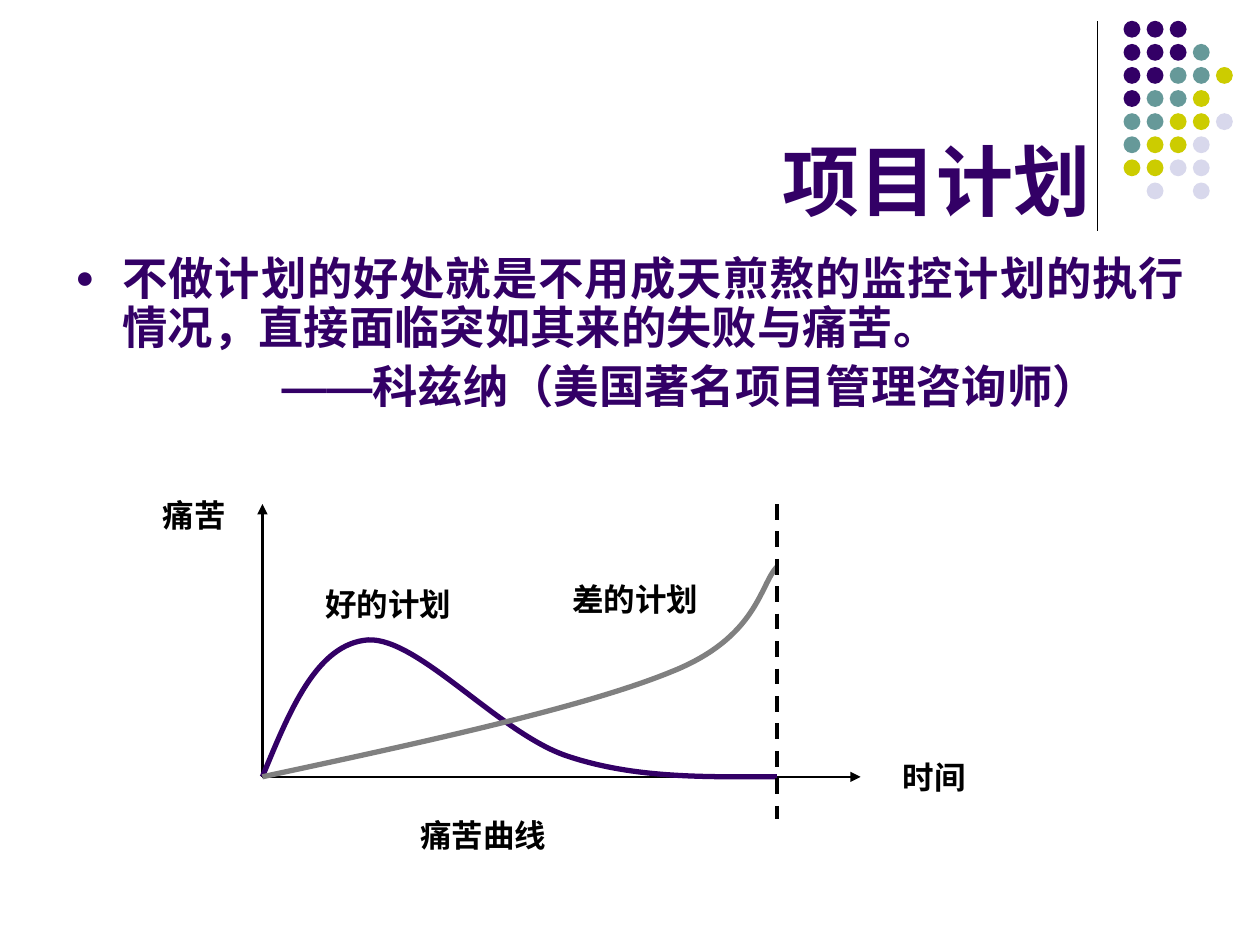
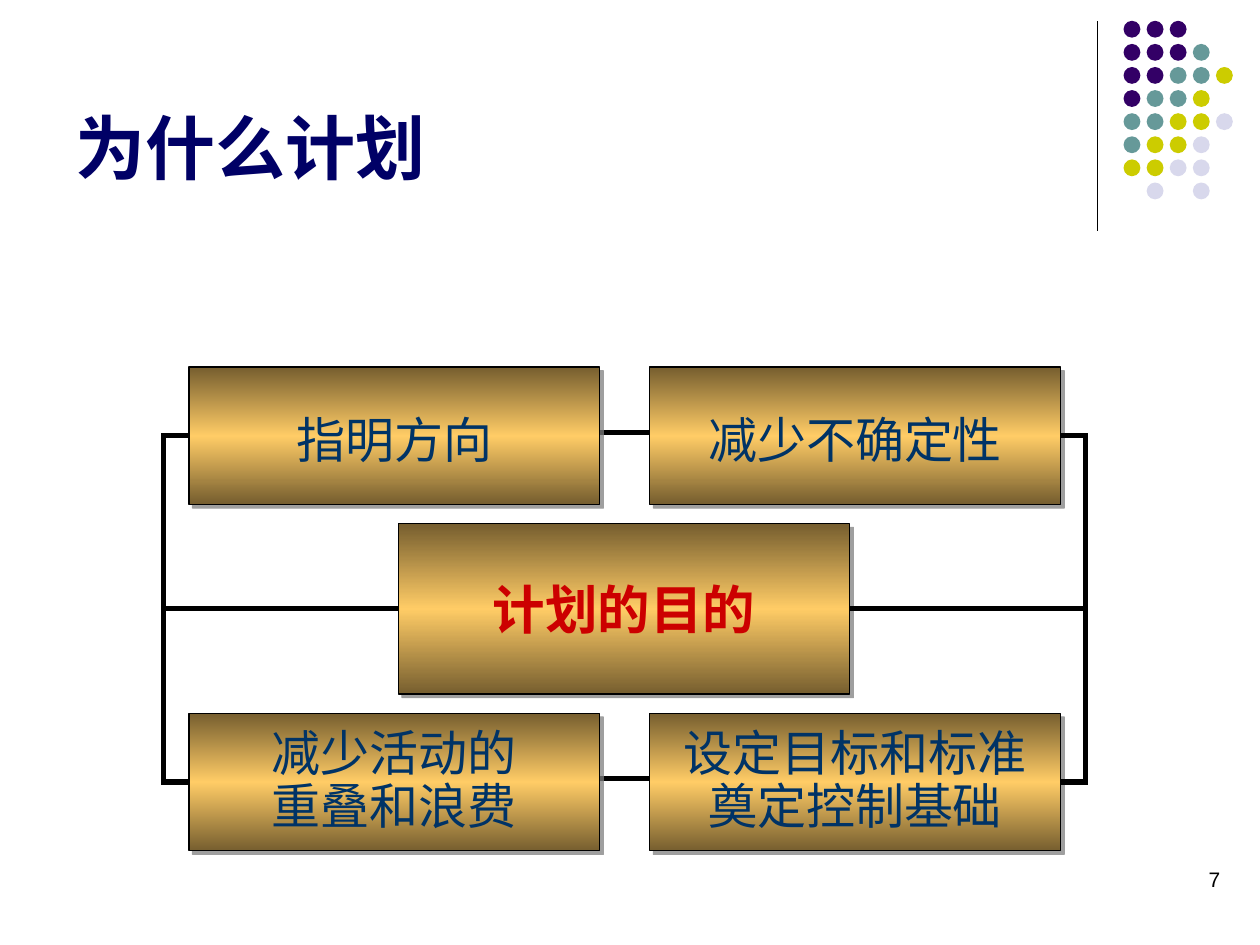
from copy import deepcopy
from lxml.etree import SubElement
from pptx import Presentation
from pptx.dml.color import RGBColor
from pptx.enum.dml import MSO_LINE
from pptx.enum.shapes import MSO_CONNECTOR, MSO_SHAPE
from pptx.enum.text import MSO_ANCHOR, PP_ALIGN
from pptx.oxml.ns import qn
from pptx.util import Cm, Pt

# Colours and fonts
PLUM = RGBColor(0x33, 0x00, 0x66)
TEAL = RGBColor(0x66, 0x99, 0x99)
LIME = RGBColor(0xCC, 0xCC, 0x00)
PALE = RGBColor(0xD8, 0xD8, 0xEC)
NAVY = RGBColor(0x00, 0x00, 0x66)
BLUE = RGBColor(0x00, 0x33, 0x66)
RED = RGBColor(0xCC, 0x00, 0x00)
GREY = RGBColor(0x80, 0x80, 0x80)
GOLD = RGBColor(0xFF, 0xCC, 0x66)
BROWN = RGBColor(0x76, 0x5E, 0x2F)
BLACK = RGBColor(0x00, 0x00, 0x00)
WHITE = RGBColor(0xFF, 0xFF, 0xFF)
SANS, HAN, HANS = "Arial", "Noto Sans CJK JP", "Noto Sans CJK SC"
SERIF = "Times New Roman"

# Shared dot pattern, one letter per dot
DOTS = ["PPP", "PPPT", "PPTTL", "PTTL", "TTLLW", "TLLW", "LLWW", " W W"]
HUES = {"P": PLUM, "T": TEAL, "L": LIME, "W": PALE}
DOT, STEP = 0.34, 3.26 / 7

# Content of slide 1, lengths in cm
QUOTE = "不做计划的好处就是不用成天煎熬的监控计划的执行情况，直接面临突如其来的失败与痛苦。"
DASH, SOURCE = "——", "科兹纳（美国著名项目管理咨询师）"
ZERO, DUE, HIGH = (5.29, 15.66), 15.66, 10.16
CURVES = [
    (PLUM, [(5.84, 14.33), (6.38, 12.98), (7.42, 12.9),
            (8.43, 12.85), (10.06, 14.78), (11.43, 15.24),
            (12.8, 15.7), (14.22, 15.66), (DUE, 15.66)]),
    (GREY, [(8.56, 14.96), (11.81, 14.25), (13.54, 13.54),
            (15.27, 12.85), (15.32, 11.79), (DUE, 11.43)]),
]
LABELS = [
    ("痛苦", (2.75, 9.95, 2.33, 0.85)),
    ("时间", (17.56, 15.24, 2.54, 0.85)),
    ("痛苦曲线", (7.63, 16.3, 4.23, 1.06)),
    ("好的计划", (5.92, 11.64, 3.81, 1.06)),
    ("差的计划", (10.8, 11.64, 4.02, 0.85)),
]

# Content of slide 2
GOALS = [
    [["指明方向"], ["减少不确定性"]],
    [["减少活动的", "重叠和浪费"], ["设定目标和标准", "奠定控制基础"]],
]
COLS, ROWS, SIZE = (3.81, 13.1), (7.4, 14.38), (8.28, 2.77)
CORE = (8.03, 10.56, 9.1, 3.43)


def put(obj, vals):
    for key, val in vals.items():
        setattr(obj, key, val)


def cms(nums):
    return [Cm(num) for num in nums]


def write(para, text, size, color, bold=False, face=SANS, asian=HANS):
    run = para.add_run()
    run.text = text
    put(run.font, {"name": face, "size": Pt(size), "bold": bold})
    run.font.color.rgb = color
    SubElement(run._r.get_or_add_rPr(), qn("a:ea"), typeface=asian)


def text_box(slide, area, anchor=MSO_ANCHOR.TOP):
    frame = slide.shapes.add_textbox(*cms(area)).text_frame
    put(frame, {"word_wrap": True, "vertical_anchor": anchor})
    return frame


def title(slide, text, top, size, color, face, align):
    frame = text_box(slide, (1.27, top, 20.96, 3.6), MSO_ANCHOR.BOTTOM)
    para = frame.paragraphs[0]
    para.alignment = align
    write(para, text, size, color, True, face, face)


def line(slide, start, end, width, kind=MSO_CONNECTOR.STRAIGHT,
         arrow=False, dash=None):
    link = slide.shapes.add_connector(kind, *cms(start + end))
    put(link.line, {"width": Pt(width), "dash_style": dash})
    link.line.color.rgb = BLACK
    stroke = link.line._get_or_add_ln()
    SubElement(stroke, qn("a:miter"), lim="800000")
    if arrow:
        SubElement(stroke, qn("a:tailEnd"), type="triangle")
    SubElement(link._element.spPr, qn("a:effectLst"))
    return link


def box(slide, area, edge):
    shape = slide.shapes.add_shape(MSO_SHAPE.RECTANGLE, *cms(area))
    shape.shadow.inherit = False
    shape.line.color.rgb = edge
    shape.line.width = Pt(0.75)
    put(shape.text_frame, {"word_wrap": False,
                           "vertical_anchor": MSO_ANCHOR.MIDDLE})
    shape.text_frame.paragraphs[0].alignment = PP_ALIGN.CENTER
    return shape


def new_slide(deck):
    slide = deck.slides.add_slide(deck.slide_layouts[6])
    line(slide, (22.12, 0.43), (22.12, 4.65), 0.75)
    for row, marks in enumerate(DOTS):
        for col, mark in enumerate(marks):
            if mark not in HUES:
                continue
            spot = (22.65 + col * STEP, 0.42 + row * STEP, DOT, DOT)
            dot = slide.shapes.add_shape(MSO_SHAPE.OVAL, *cms(spot))
            dot.shadow.inherit = False
            dot.fill.solid()
            dot.fill.fore_color.rgb = HUES[mark]
            dot.line.fill.background()
    return slide


def bullet(para):
    props = para._p.get_or_add_pPr()
    tint = SubElement(props, qn("a:buClr"))
    SubElement(tint, qn("a:srgbClr"), val=str(PLUM))
    SubElement(props, qn("a:buSzPct"), val="70000")
    SubElement(props, qn("a:buFont"), typeface=SANS)
    SubElement(props, qn("a:buChar"), char="●")


def curve(slide, color, points):
    pen = slide.shapes.build_freeform(*cms(ZERO))
    pen.add_line_segments([cms(point) for point in points], close=False)
    shape = pen.convert_to_shape()
    shape.shadow.inherit = False
    shape.fill.background()
    shape.line.color.rgb = color
    shape.line.width = Pt(3)
    # Every three points become one cubic segment
    legs = list(shape._element.iter(qn("a:lnTo")))
    track = legs[0].getparent()
    for num in range(0, len(legs), 3):
        bend = SubElement(track, qn("a:cubicBezTo"))
        for leg in legs[num:num + 3]:
            bend.append(leg[0])
            track.remove(leg)


def gold_box(slide, area):
    shape = box(slide, area, BLACK)
    shape.fill.gradient()
    shape.fill.gradient_angle = 90
    stops = shape._element.spPr.find(qn("a:gradFill")).find(qn("a:gsLst"))
    stops.append(deepcopy(stops[-1]))
    for stop, place, color in zip(shape.fill.gradient_stops, (0, 0.5, 1),
                                  (BROWN, GOLD, BROWN)):
        stop.position = place
        stop.color.rgb = color
    effect = shape._element.spPr.find(qn("a:effectLst"))
    shade = SubElement(effect, qn("a:outerShdw"), blurRad="0",
                       dist=str(Pt(3)), dir="2700000", algn="ctr")
    tint = SubElement(shade, qn("a:srgbClr"), val=str(GREY))
    SubElement(tint, qn("a:alpha"), val="75000")
    return shape


def goal_box(slide, area, lines):
    shape = gold_box(slide, area)
    frame = shape.text_frame
    for num, text in enumerate(lines):
        para = frame.add_paragraph() if num else frame.paragraphs[0]
        put(para, {"alignment": PP_ALIGN.CENTER,
                   "line_spacing": 0.9 if len(lines) > 1 else 1.1})
        write(para, text, 28, BLUE, face=SERIF)
    return shape


def elbow(slide, goal, core, side):
    link = line(slide, (0, 0), (1, 1), 3, MSO_CONNECTOR.ELBOW)
    link.begin_connect(goal, side)
    link.end_connect(core, side)
    geom = link._element.spPr.find(qn("a:prstGeom"))
    guides = geom.find(qn("a:avLst"))
    if guides is None:
        guides = SubElement(geom, qn("a:avLst"))
    SubElement(guides, qn("a:gd"), name="adj1", fmla="val -12000")


def pain_slide(deck):
    slide = new_slide(deck)
    title(slide, "项目计划", 1.07, 44, PLUM, HAN, PP_ALIGN.RIGHT)

    # Quotation and its author
    frame = text_box(slide, (1.27, 5.04, 22.86, 4.11))
    quote, author = frame.paragraphs[0], frame.add_paragraph()
    bullet(quote)
    for para, left, hang in ((quote, 0.95, -0.95), (author, 4.16, 0)):
        put(para, {"alignment": PP_ALIGN.JUSTIFY, "line_spacing": 0.9})
        props = para._p.get_or_add_pPr()
        props.set("marL", str(Cm(left)))
        props.set("indent", str(Cm(hang)))
    author.space_before = Pt(5.7)
    write(quote, QUOTE, 25.9, PLUM, True, HAN, HAN)
    write(author, DASH, 25.9, PLUM, True, SANS, SANS)
    write(author, SOURCE, 25.9, PLUM, True, HAN, HAN)

    # Axes, curves and deadline
    for tip in ((ZERO[0], HIGH), (17.35, ZERO[1])):
        line(slide, ZERO, tip, 1.5, arrow=True)
    for color, points in CURVES:
        curve(slide, color, points)
    line(slide, (DUE, HIGH), (DUE, 16.51), 2.25, dash=MSO_LINE.DASH)

    # Labels
    for text, area in LABELS:
        label = box(slide, area, WHITE)
        label.fill.solid()
        label.fill.fore_color.rgb = WHITE
        write(label.text_frame.paragraphs[0], text, 18, BLACK, True)


def goal_slide(deck):
    slide = new_slide(deck)
    para = text_box(slide, (19.56, 17.35, 5.29, 1.27)).paragraphs[0]
    para.alignment = PP_ALIGN.RIGHT
    write(para, "7", 12, BLACK)
    title(slide, "为什么计划", 0.33, 40, NAVY, HANS, PP_ALIGN.LEFT)

    # Links between the columns, behind the boxes
    for level in (8.72, 15.7):
        line(slide, (9.88, level), (13.26, level), 3)

    # Boxes, then elbows to the centre
    goals = []
    for top, row in zip(ROWS, GOALS):
        for left, lines, side in zip(COLS, row, (1, 3)):
            goals.append((goal_box(slide, (left, top) + SIZE, lines), side))
    core = gold_box(slide, CORE)
    write(core.text_frame.paragraphs[0], "计划的目的", 30, RED, True)
    for goal, side in goals:
        elbow(slide, goal, core, side)


def main():
    deck = Presentation()
    put(deck, {"slide_width": Cm(25.4), "slide_height": Cm(19.05)})
    pain_slide(deck)
    goal_slide(deck)
    deck.save("out.pptx")


if __name__ == "__main__":
    main()
